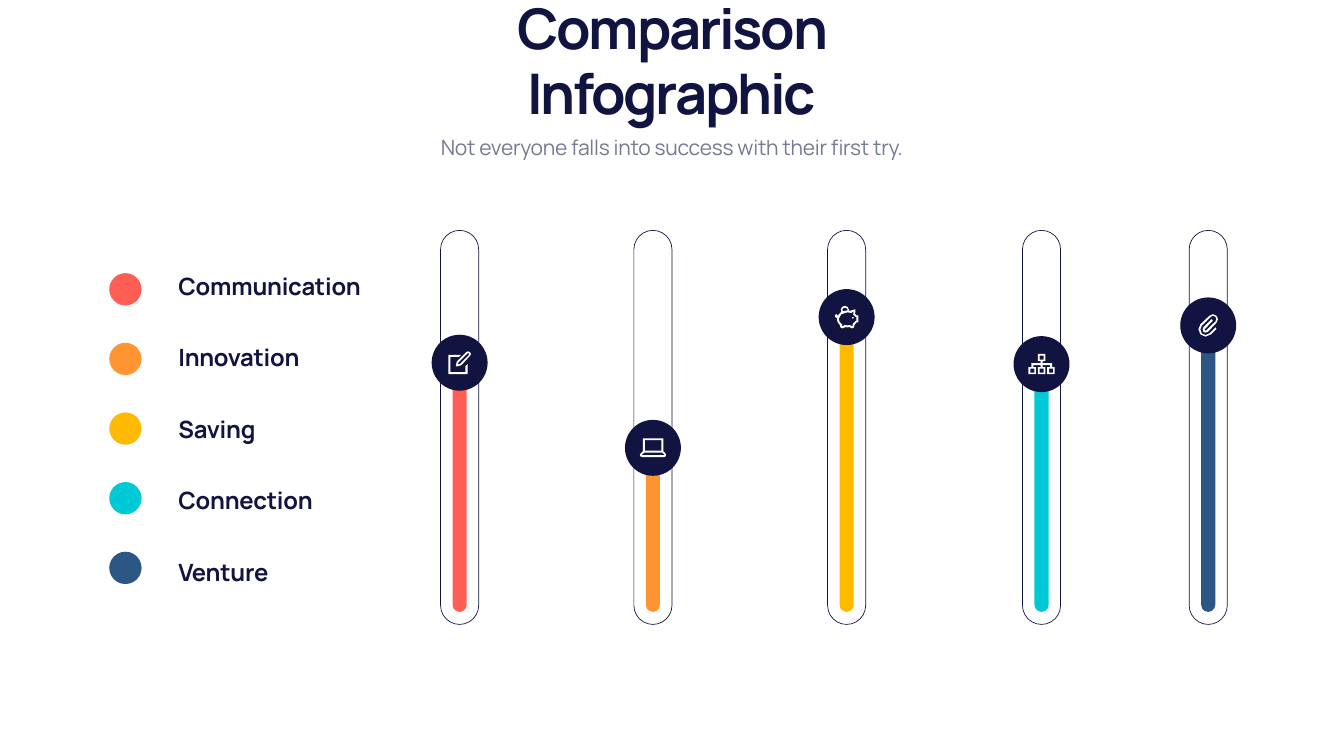
from dataclasses import dataclass
from typing import Optional

from pptx import Presentation
from pptx.dml.color import RGBColor as Rgb
from pptx.enum.shapes import MSO_SHAPE as Kind
from pptx.enum.text import MSO_ANCHOR as Anchor, MSO_AUTO_SIZE as Fit, PP_ALIGN as Align
from pptx.util import Cm, Pt

FONT = "Manrope"
HUES = {
    "navy": "111340", "gray": "747A94", "white": "FFFFFF", "red": "FF5E55",
    "orange": "FF9433", "yellow": "FFBA00", "teal": "00C9D6", "blue": "2C5683",
}
Loop = list[tuple[int, int]]


def box(x: int, y: int, side: int) -> Loop:
    """Give the corners of a square."""
    return [(x, y), (x + side, y), (x + side, y + side), (x, y + side)]


# Icon outlines, in tenths of a millimetre
EDIT = [
    [(0, 18), (0, 114), (97, 114), (97, 64), (86, 74), (86, 104), (10, 104),
     (10, 28), (53, 28), (64, 18)],
    [(99, 8), (104, 10), (104, 18), (58, 64), (48, 64), (51, 56), (97, 10)],
    [(99, 0), (91, 3), (43, 51), (38, 71), (38, 76), (43, 76), (61, 71),
     (64, 71), (109, 23), (114, 13), (109, 3)],
]
LAPTOP = [
    [(23, 71), (112, 71), (124, 81), (122, 84), (12, 84), (10, 81)],
    [(25, 8), (109, 8), (109, 61), (25, 61)],
    [(15, 0), (15, 64), (5, 74), (0, 81), (3, 90), (12, 94), (122, 94),
     (130, 90), (132, 81), (128, 74), (119, 64), (119, 0)],
]
PIG = [
    [(91, 56), (96, 61), (91, 66), (86, 61)],
    [(94, 28), (94, 41), (91, 43), (102, 53), (104, 56), (109, 56), (109, 76),
     (104, 76), (102, 79), (91, 91), (89, 94), (91, 97), (89, 102), (84, 102),
     (76, 97), (64, 99), (48, 97), (43, 102), (36, 102), (36, 97), (38, 94),
     (33, 91), (23, 79), (20, 66), (32, 43), (64, 33), (79, 36), (84, 36)],
    [(51, 10), (61, 13), (64, 20), (64, 23), (41, 28), (38, 20), (41, 13)],
    [(51, 0), (36, 6), (30, 20), (33, 30), (13, 51), (10, 51), (13, 48),
     (5, 41), (0, 51), (3, 58), (10, 61), (10, 66), (14, 82), (25, 97),
     (28, 109), (39, 114), (51, 109), (51, 107), (64, 109), (74, 107),
     (76, 109), (86, 114), (97, 109), (99, 97), (109, 84), (119, 84),
     (119, 48), (109, 48), (102, 41), (104, 25), (104, 18), (102, 18),
     (79, 25), (71, 25), (71, 20), (65, 6)],
]
TREE = [
    *(box(x, 74, 20) for x in (10, 56, 104)),
    box(56, 8, 20),
    [(48, 0), (48, 36), (61, 36), (61, 46), (15, 46), (15, 66), (0, 66),
     (0, 102), (38, 102), (38, 66), (25, 66), (25, 56), (61, 56), (61, 66),
     (48, 66), (48, 102), (86, 102), (86, 66), (71, 66), (71, 56), (109, 56),
     (109, 66), (94, 66), (94, 102), (132, 102), (132, 66), (119, 66),
     (119, 46), (71, 46), (71, 36), (86, 36), (86, 0)],
]
CLIP = [
    [(76, 0), (58, 8), (13, 51), (3, 76), (13, 102), (38, 113), (66, 102),
     (94, 74), (89, 66), (58, 97), (39, 105), (20, 97), (13, 77), (20, 58),
     (66, 13), (77, 8), (89, 13), (93, 24), (89, 36), (43, 81), (39, 83),
     (36, 81), (34, 77), (36, 74), (76, 33), (69, 25), (28, 66), (24, 77),
     (28, 89), (39, 93), (51, 89), (94, 43), (102, 25), (94, 8)],
]


@dataclass
class Item:
    """One topic: its legend entry and its slider."""
    name: str
    hue: str
    mid: float
    top: float
    knob: float
    icon: list[Loop]


ITEMS = [
    Item("Communication", "red", 23.16, 18.49, 18.28, EDIT),
    Item("Innovation", "orange", 32.9, 22.58, 22.57, LAPTOP),
    Item("Saving", "yellow", 42.66, 16.38, 15.98, PIG),
    Item("Connection", "teal", 52.48, 18.36, 18.35, TREE),
    Item("Venture", "blue", 60.88, 16.38, 16.4, CLIP),
]


def color(hue: str) -> Rgb:
    """Look up a colour by name."""
    return Rgb.from_string(HUES[hue])


def paint(shape, fill: Optional[str] = None, line: Optional[str] = None) -> None:
    """Set fill and line, and drop the shadow."""
    shape.shadow.inherit = False
    for part, hue in ((shape.fill, fill), (shape.line.fill, line)):
        if hue:
            part.solid()
            part.fore_color.rgb = color(hue)
        else:
            part.background()
    if line:
        shape.line.width = Pt(1)


def pill(slide, mid: float, top: float, wide: float, tall: float, **look: str) -> None:
    """Draw an upright bar with round ends, centred on mid."""
    shape = slide.shapes.add_shape(
        Kind.ROUNDED_RECTANGLE, Cm(mid - wide / 2), Cm(top), Cm(wide), Cm(tall))
    shape.adjustments[0] = 0.5
    paint(shape, **look)


def disc(slide, x: float, y: float, size: float, hue: str) -> None:
    """Draw a filled circle around a centre."""
    paint(slide.shapes.add_shape(
        Kind.OVAL, Cm(x - size / 2), Cm(y - size / 2), Cm(size), Cm(size)), fill=hue)


def glyph(slide, x: float, y: float, loops: list[Loop]) -> None:
    """Draw a white icon around a centre."""
    pen = slide.shapes.build_freeform(*loops[0][0], scale=Cm(0.01))
    for loop in loops:
        pen.move_to(*loop[0])
        pen.add_line_segments(loop[1:], close=True)
    shape = pen.convert_to_shape()
    shape.left = Cm(x) - shape.width // 2
    shape.top = Cm(y) - shape.height // 2
    paint(shape, fill="white")


def write(shape, text: str, *, size: float, lead: float, hue: str = "navy",
          bold: bool = True, align: Align = Align.LEFT, gap: int = -30,
          anchor: Anchor = Anchor.TOP, wrap: bool = True) -> None:
    """Put one formatted paragraph into a shape."""
    frame = shape.text_frame
    frame.word_wrap = wrap
    frame.auto_size = Fit.NONE
    frame.vertical_anchor = anchor
    para = frame.paragraphs[0]
    para.alignment = align
    para.line_spacing = Pt(lead)
    para.space_before = Pt(0)
    run = para.add_run()
    run.text = text
    font = run.font
    font.name, font.size, font.bold = FONT, Pt(size), bold
    font.color.rgb = color(hue)
    run._r.get_or_add_rPr().set("spc", str(gap))


def legend(slide, row: int, item: Item) -> None:
    """Draw one dot with its label."""
    disc(slide, 6.32, 14.58 + 3.51 * row, 1.63, item.hue)
    label = slide.shapes.add_textbox(Cm(8.74), Cm(13.77 + 3.6 * row), Cm(9.73), Cm(1.5))
    write(label, item.name, size=34, lead=35)


def slider(slide, item: Item) -> None:
    """Draw track, bar, knob and icon."""
    pill(slide, item.mid, 11.61, 1.92, 19.86, line="navy")
    pill(slide, item.mid, item.top, 0.71, 30.84 - item.top, fill=item.hue)
    disc(slide, item.mid, item.knob, 2.82, "navy")
    glyph(slide, item.mid, item.knob, item.icon)


def main() -> None:
    """Build the slide and save it."""
    deck = Presentation()
    deck.slide_width, deck.slide_height = Cm(67.72), Cm(38.1)
    slide = deck.slides.add_slide(deck.slide_layouts[5])
    title = slide.shapes.title
    title.left, title.top, title.width, title.height = Cm(18.44), Cm(2.87), Cm(30.81), Cm(3.61)
    write(title, "Comparison Infographic", size=80, lead=94, gap=-330,
          align=Align.CENTER, anchor=Anchor.BOTTOM)
    motto = slide.shapes.add_textbox(Cm(21.54), Cm(6.43), Cm(24.64), Cm(1.63))
    write(motto, "Not everyone falls into success with their first try.", size=30,
          lead=42, hue="gray", bold=False, align=Align.CENTER, wrap=False)
    for row, item in enumerate(ITEMS):
        slider(slide, item)
        legend(slide, row, item)
    deck.save("out.pptx")


main()
